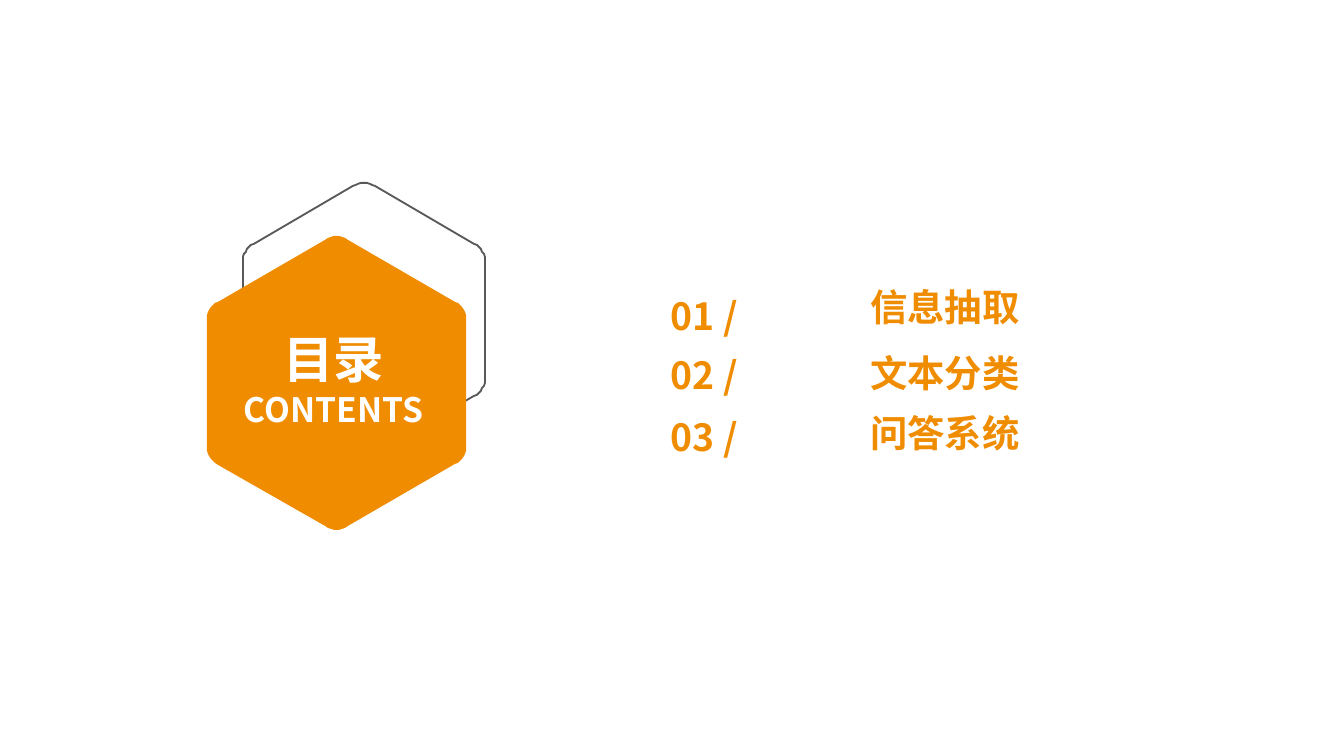
import math

import pptx
import pptx.dml.color
import pptx.enum.text
import pptx.oxml.ns
import pptx.util
from lxml import etree

ORANGE = pptx.dml.color.RGBColor(0xF0, 0x8C, 0x00)
GREY = pptx.dml.color.RGBColor(0x59, 0x59, 0x59)
WHITE = pptx.dml.color.RGBColor(0xFF, 0xFF, 0xFF)
FONT = "Noto Sans CJK SC"
PX = 914400 / 134.4

SLIDE_SIZE = (1344, 756)
TITLE = [("目录", 27), ("CONTENTS", 18)]
TITLE_BOX = (211, 323, 245, 112)
# number, number top, topic, topic top
ENTRIES = [
    ("01 /", 288, "信息抽取", 277),
    ("02 /", 347, "文本分类", 343),
    ("03 /", 409, "问答系统", 403),
]
NUMBER_LEFT, NUMBER_SIZE = 661, (438, 55)
TOPIC_LEFT, TOPIC_SIZE = 857, (179, 59)
ENTRY_PT = 20
NARROW_INSETS = (10, 5)
WIDE_INSETS = (13, 7)
CORNER_CUT, CORNER_STEPS = 13, 8


def emu(px):
    """Turn pixels into EMU."""
    return pptx.util.Emu(round(px * PX))


def hexagon(s, cx, cy, radius):
    """Draw an upright regular hexagon with rounded corners."""
    corners = [(cx + radius * math.sin(math.radians(a)),
                cy - radius * math.cos(math.radians(a))) for a in range(0, 360, 60)]
    cut = CORNER_CUT / radius
    points = []
    for i, (x, y) in enumerate(corners):
        (px, py), (nx, ny) = corners[i - 1], corners[(i + 1) % 6]
        for step in range(CORNER_STEPS + 1):
            t = step / CORNER_STEPS
            before, after = cut * (1 - t) ** 2, cut * t ** 2
            points.append((x + before * (px - x) + after * (nx - x),
                           y + before * (py - y) + after * (ny - y)))
    builder = s.shapes.build_freeform(*points[0], scale=PX)
    builder.add_line_segments(points[1:], close=True)
    sp = builder.convert_to_shape()
    sp.shadow.inherit = False
    return sp


def place(sp, left, top, width, height):
    """Set the position and size of a shape."""
    sp.left, sp.top, sp.width, sp.height = map(emu, (left, top, width, height))


def set_insets(tf, insets):
    """Set the horizontal and vertical insets of a text frame."""
    tf.margin_left = tf.margin_right = emu(insets[0])
    tf.margin_top = tf.margin_bottom = emu(insets[1])


def format_paragraph(p, size, color):
    """Format every run of a paragraph in the bold slide font."""
    for r in p.runs:
        r.font.name, r.font.size, r.font.bold = FONT, pptx.util.Pt(size), True
        r.font.color.rgb = color
        ea = etree.SubElement(r.font._element, pptx.oxml.ns.qn("a:ea"))
        ea.set("typeface", FONT)


def add_label(s, text, box, insets, wrap):
    """Add one orange text box."""
    sp = s.shapes.add_textbox(*map(emu, box))
    tf = sp.text_frame
    tf.text = text
    tf.word_wrap = wrap
    tf.auto_size = pptx.enum.text.MSO_AUTO_SIZE.SHAPE_TO_FIT_TEXT
    set_insets(tf, insets)
    format_paragraph(tf.paragraphs[0], ENTRY_PT, ORANGE)


def add_title(s):
    """Fill the title placeholder and bring it in front of the hexagons."""
    title = s.shapes.title
    place(title, *TITLE_BOX)
    tf = title.text_frame
    tf.text = "\n".join(text for text, _ in TITLE)
    tf.word_wrap = True
    tf.auto_size = pptx.enum.text.MSO_AUTO_SIZE.NONE
    tf.vertical_anchor = pptx.enum.text.MSO_ANCHOR.TOP
    set_insets(tf, NARROW_INSETS)
    for p, (_, size) in zip(tf.paragraphs, TITLE):
        p.alignment = pptx.enum.text.PP_ALIGN.CENTER
        format_paragraph(p, size, WHITE)
    s.shapes._spTree.append(title._element)


def main():
    """Build and save the slide."""
    prs = pptx.Presentation()
    prs.slide_width, prs.slide_height = map(emu, SLIDE_SIZE)
    s = prs.slides.add_slide(prs.slide_layouts[5])

    outline = hexagon(s, 364, 320, 140)
    outline.fill.background()
    outline.line.color.rgb = GREY
    outline.line.width = pptx.util.Pt(1)

    badge = hexagon(s, 336.5, 383, 150)
    badge.fill.solid()
    badge.fill.fore_color.rgb = ORANGE
    badge.line.fill.background()

    add_title(s)
    for number, number_top, topic, topic_top in ENTRIES:
        add_label(s, number, (NUMBER_LEFT, number_top, *NUMBER_SIZE), NARROW_INSETS, True)
        add_label(s, topic, (TOPIC_LEFT, topic_top, *TOPIC_SIZE), WIDE_INSETS, False)
    prs.save("out.pptx")


main()
